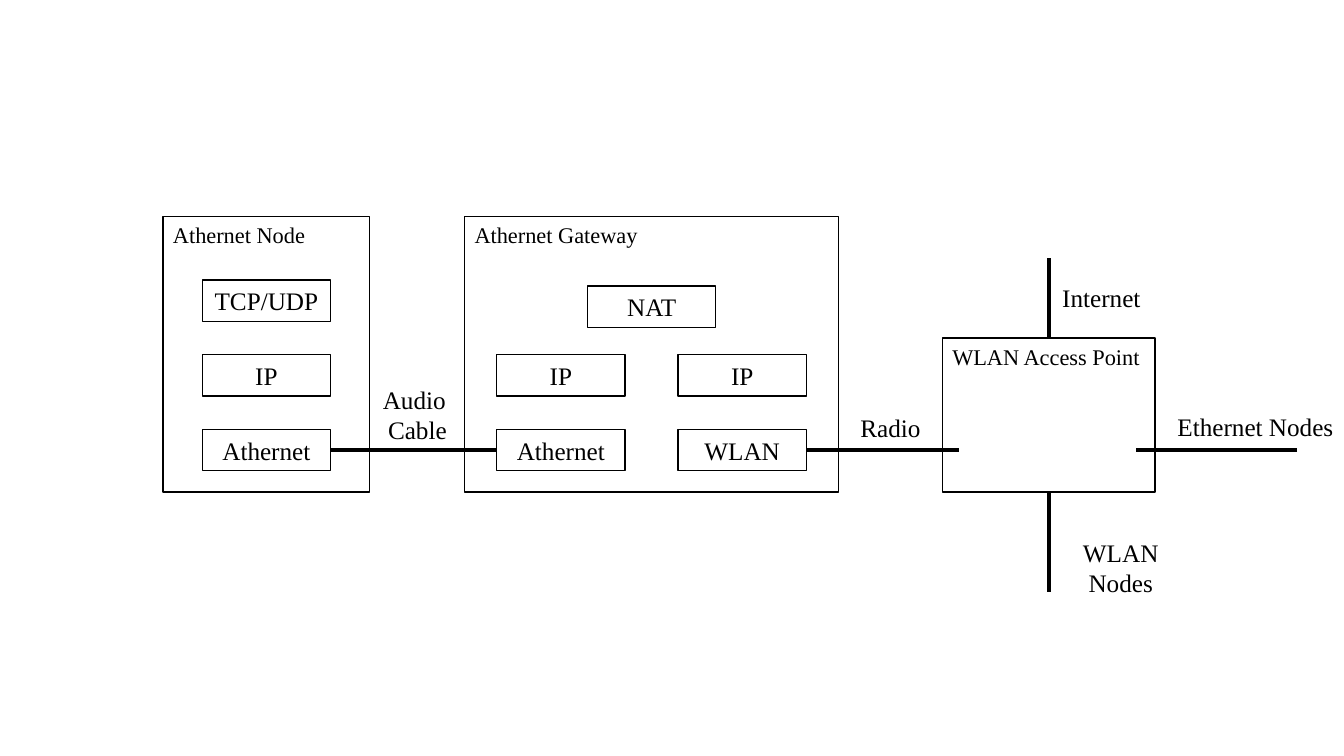
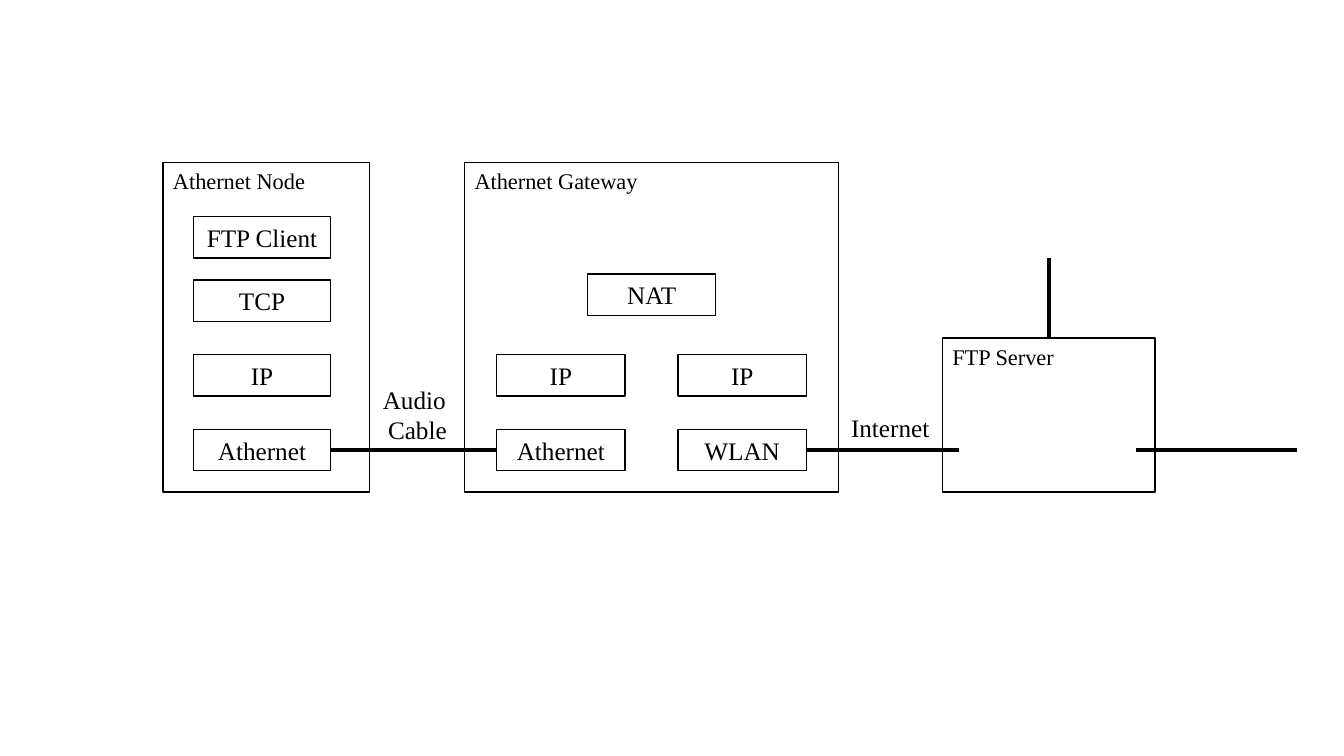
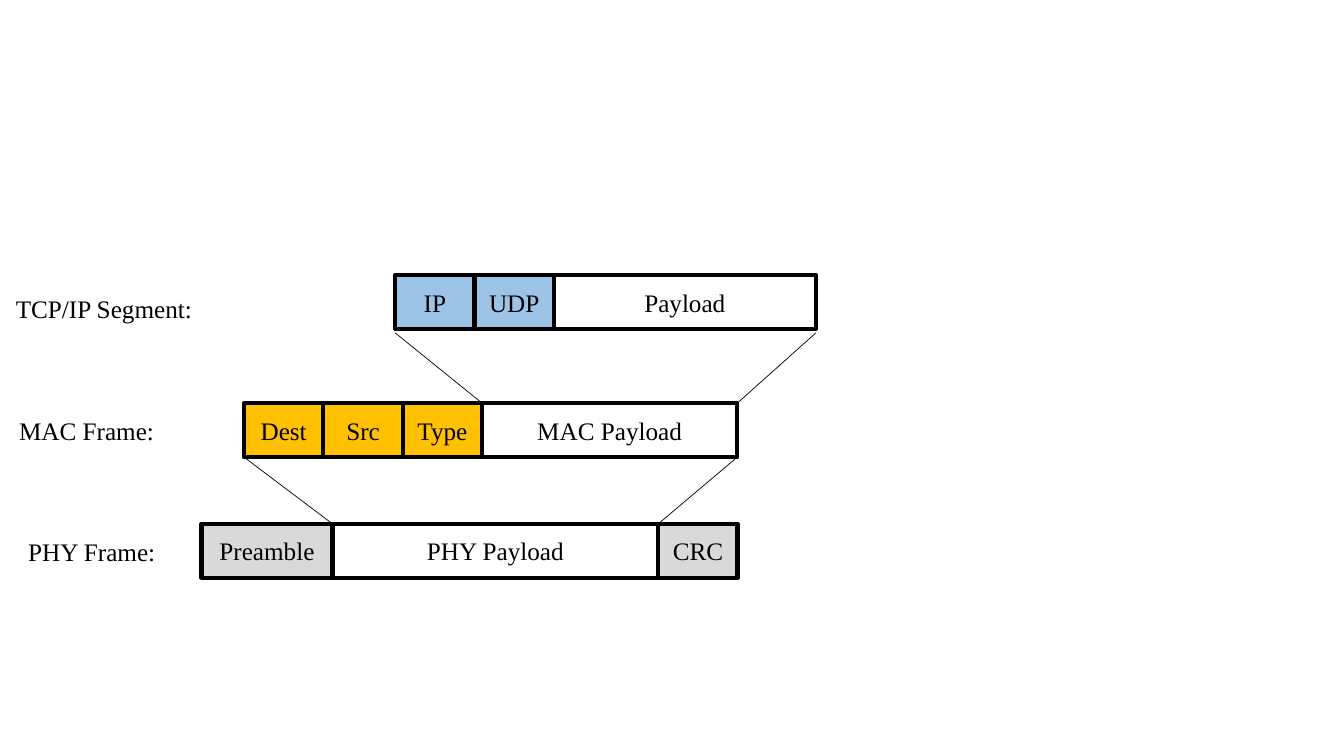
from itertools import accumulate
from pptx import Presentation
from pptx.dml.color import RGBColor
from pptx.enum.shapes import MSO_CONNECTOR as Link, MSO_SHAPE as Form
from pptx.enum.text import MSO_ANCHOR as Anchor, MSO_AUTO_SIZE as Fit, PP_ALIGN as Align
from pptx.oxml import parse_xml
from pptx.oxml.ns import nsdecls
from pptx.util import Cm, Pt

FONT = "Times New Roman"
BLACK, WHITE = "000000", "FFFFFF"
GREY, GOLD, BLUE = "D9D9D9", "FFC000", "9DC3E6"
BASE = 12.4             # common bottom of the frames
LAYER_H, PITCH = 1.04, 1.88
LOW = 10.82             # top of the lowest layer
WIRE = LOW + LAYER_H / 2
FIELD_H = 1.36


def color(code):
    """Turn a hex string into a colour."""
    return RGBColor.from_string(code)


def write(item, text, size, align):
    """Set the text of an item and format all its runs."""
    frame = item.text_frame
    frame.text = text
    for para in frame.paragraphs:
        para.alignment = align
        for run in para.runs:
            run.font.name, run.font.size = FONT, Pt(size)
            run.font.color.rgb = color(BLACK)


def rect(slide, box, text, fill=WHITE, width=1, size=18, align=Align.CENTER):
    """Draw an outlined rectangle with text; a fill of None leaves it open."""
    item = slide.shapes.add_shape(Form.RECTANGLE, *map(Cm, box))
    item.shadow.inherit = False
    if fill:
        item.fill.solid()
        item.fill.fore_color.rgb = color(fill)
    else:
        item.fill.background()
    item.line.color.rgb = color(BLACK)
    item.line.width = Pt(width)
    write(item, text, size, align)
    item.text_frame.vertical_anchor = Anchor.MIDDLE
    return item


def frame(slide, left, top, width, title):
    """Draw an open frame, down to the common base, titled at its top left."""
    item = rect(slide, (left, top, width, BASE - top), title, None,
                size=16, align=Align.LEFT)
    item.text_frame.vertical_anchor = Anchor.TOP


def label(slide, left, top, width, text, align=Align.CENTER, height=1.02):
    """Place a one-size text box that does not wrap."""
    item = slide.shapes.add_textbox(*map(Cm, (left, top, width, height)))
    item.text_frame.word_wrap = False
    write(item, text, 18, align)
    item.text_frame.auto_size = Fit.SHAPE_TO_FIT_TEXT


def line(slide, start, end, width=3):
    """Draw a straight black line between two points."""
    item = slide.shapes.add_connector(Link.STRAIGHT, *map(Cm, start + end))
    item.line.color.rgb = color(BLACK)
    item.line.width = Pt(width)
    item._element.spPr.append(parse_xml(f"<a:effectLst {nsdecls('a')}/>"))


def stack(slide, left, width, names):
    """Pile up protocol layers from the lowest one."""
    for row, name in enumerate(names):
        rect(slide, (left, LOW - row * PITCH, width, LAYER_H), name)


def node(slide, top, inset, width, names):
    """Draw the node with its layers."""
    left = 4.11
    stack(slide, left + inset, width, names)
    frame(slide, left, top, 5.21, "Athernet Node")


def gateway(slide, top, nat):
    """Draw the gateway with two stacks below the address translation."""
    left, width = 11.71, 3.23
    stack(slide, left + 0.81, width, ["Athernet", "IP"])
    stack(slide, left + 5.38, width, ["WLAN", "IP"])
    rect(slide, (left + 3.1, nat, width, LAYER_H), "NAT")
    frame(slide, left, top, 9.42, "Athernet Gateway")


def remote(slide, title):
    """Draw the far frame with its upper and right-hand wires."""
    left, top, width = 23.75, 8.52, 5.36
    mid = left + width / 2
    frame(slide, left, top, width, title)
    line(slide, (mid, top), (mid, 6.5))
    line(slide, (32.69, WIRE), (28.63, WIRE))
    return mid


def cables(slide):
    """Join node, gateway and remote frame."""
    line(slide, (8.33, WIRE), (12.52, WIRE))
    line(slide, (20.32, WIRE), (24.18, WIRE))
    label(slide, 9.35, 9.55, 2.34, "Audio \nCable", height=1.8)


def lan(slide):
    """Slide of the network behind an access point."""
    top = 5.46
    node(slide, top, 0.99, 3.23, ["Athernet", "IP", "TCP/UDP"])
    gateway(slide, top, 7.21)
    mid = remote(slide, "WLAN Access Point")
    cables(slide)
    line(slide, (mid, 14.91), (mid, BASE))
    label(slide, 21.41, 10.26, 2.06, "Radio")
    label(slide, 26.44, 13.41, 3.61, "WLAN Nodes")
    label(slide, 26.52, 6.98, 2.51, "Internet", Align.LEFT)
    label(slide, 29.39, 10.24, 4.5, "Ethernet Nodes")


def ftp(slide):
    """Slide of the file transfer."""
    top, inset, width = 4.09, 0.77, 3.45
    node(slide, top, inset, width, ["Athernet", "IP", "TCP"])
    rect(slide, (4.11 + inset, 5.46, width, LAYER_H), "FTP Client")
    gateway(slide, top, 6.91)
    remote(slide, "FTP Server")
    cables(slide)
    label(slide, 21.18, 10.26, 2.51, "Internet")


def packet(slide, left, top, fields):
    """Draw fields side by side and return the positions of their edges."""
    edges = list(accumulate((wide for _, wide, _ in fields), initial=left))
    for x, (name, wide, fill) in zip(edges, fields):
        rect(slide, (x, top, wide, FIELD_H), name, fill, 3)
    return edges


def nest(slide, outer, inner, top, base):
    """Show with thin lines that one packet fills a field of the next."""
    for x, end in zip(outer, inner):
        line(slide, (x, top), (end, base), 0.5)


def frames(slide):
    """Slide of the nested packet formats."""
    tops = 6.93, 10.16, 13.2
    seg = packet(slide, 9.96, tops[0], [
        ("IP", 2, BLUE), ("UDP", 2, BLUE), ("Payload", 6.6, WHITE)])
    mac = packet(slide, 6.15, tops[1], [
        ("Dest", 2, GOLD), ("Src", 2, GOLD), ("Type", 2, GOLD),
        ("MAC Payload", 6.43, WHITE)])
    phy = packet(slide, 5.08, tops[2], [
        ("Preamble", 3.3, GREY), ("PHY Payload", 8.21, WHITE), ("CRC", 2, GREY)])
    nest(slide, (seg[0], seg[-1]), mac[3:], tops[0] + FIELD_H + 0.1, tops[1])
    nest(slide, (mac[0], mac[-1]), phy[1:3], tops[1] + FIELD_H, tops[2])
    for left, top, width, text in [(0.15, 7.26, 5, "TCP/IP Segment:"),
                                   (0.23, 10.34, 3.96, "MAC Frame:"),
                                   (0.46, 13.39, 3.76, "PHY Frame:")]:
        label(slide, left, top, width, text, Align.LEFT)


deck = Presentation()
deck.slide_width, deck.slide_height = Cm(33.87), Cm(19.05)
for draw in (lan, ftp, frames):
    draw(deck.slides.add_slide(deck.slide_layouts[6]))
deck.save("out.pptx")
